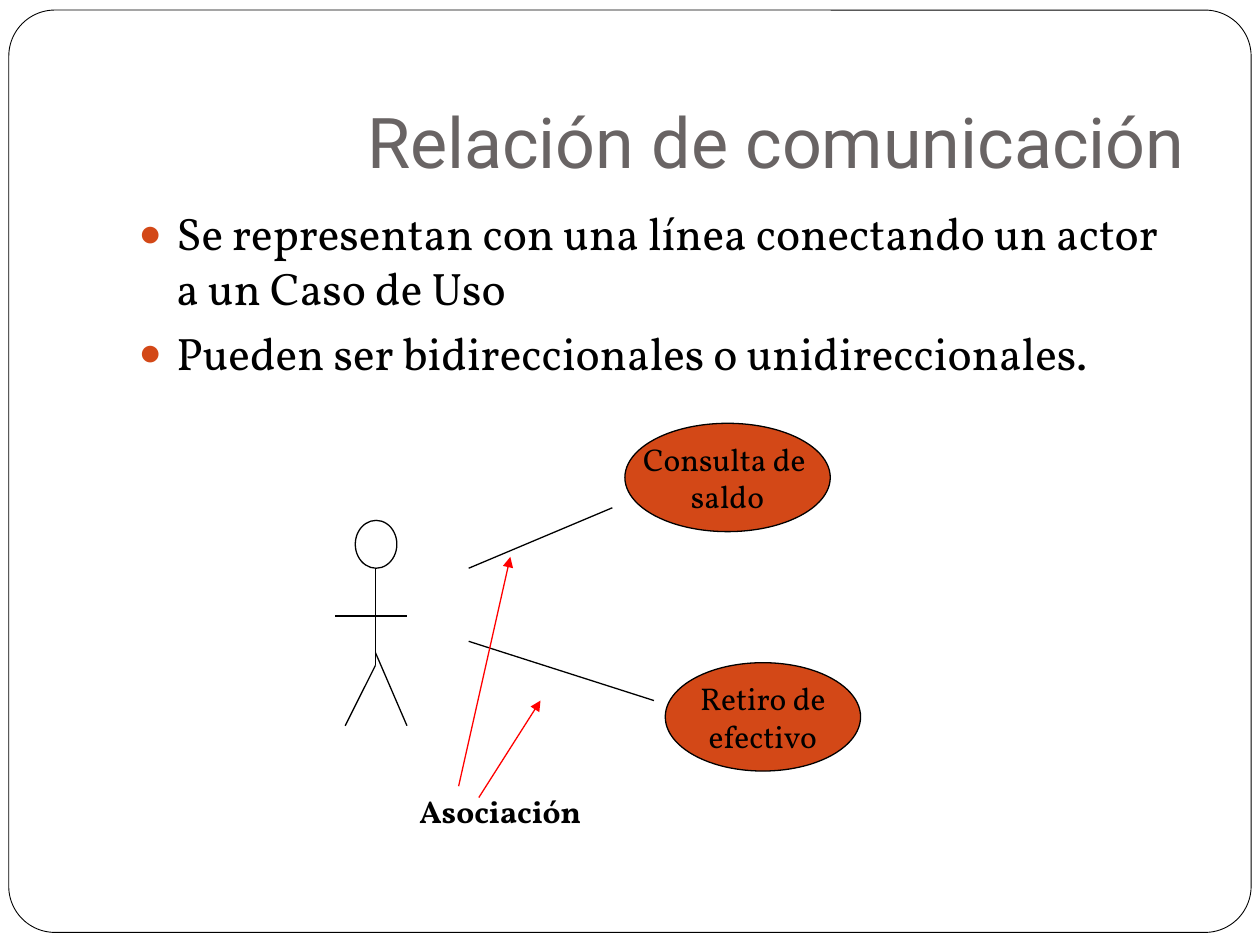
from lxml.etree import SubElement
from pptx import Presentation
from pptx.dml.color import RGBColor
from pptx.enum.shapes import MSO_CONNECTOR, MSO_SHAPE
from pptx.enum.text import MSO_ANCHOR, PP_ALIGN
from pptx.oxml.ns import qn
from pptx.util import Inches, Pt

BLACK = RGBColor(0x00, 0x00, 0x00)
WHITE = RGBColor(0xFF, 0xFF, 0xFF)
GRAY = RGBColor(0x69, 0x64, 0x64)
ORANGE = RGBColor(0xD3, 0x48, 0x17)
RED = RGBColor(0xFF, 0x00, 0x00)
TITLE_FONT = "Roboto"
BODY_FONT = "Vollkorn"

BULLETS = [
    "Se representan con una línea conectando un actor a un Caso de Uso ",
    "Pueden ser bidireccionales o unidireccionales.",
]
USE_CASES = [
    (4.96, 3.36, 1.63, "Consulta de \nsaldo"),
    (5.28, 5.26, 1.55, "Retiro de\nefectivo"),
]
ACTOR_LINES = [
    (2.98, 4.51, 2.98, 5.28),
    (2.66, 4.89, 3.23, 4.89),
    (2.98, 5.28, 2.74, 5.76),
    (2.98, 5.18, 3.23, 5.76),
]
ASSOCIATIONS = [(3.72, 4.51, 4.86, 4.03), (3.72, 5.09, 5.19, 5.56)]
POINTERS = [(3.8, 6.33, 4.29, 5.56), (3.64, 6.24, 4.05, 4.42)]


def place(shape, left, top, width, height):
    shape.left, shape.top = Inches(left), Inches(top)
    shape.width, shape.height = Inches(width), Inches(height)


def format_runs(paragraph, font_name, size, color, bold=False):
    for run in paragraph.runs:
        run.font.name = font_name
        run.font.size = Pt(size)
        run.font.bold = bold
        run.font.color.rgb = color


def add_outline(shapes, kind, left, top, width, height, fill=None, line_width=0.75):
    shape = shapes.add_shape(
        kind, Inches(left), Inches(top), Inches(width), Inches(height))
    shape.shadow.inherit = False
    if fill is None:
        shape.fill.background()
    else:
        shape.fill.solid()
        shape.fill.fore_color.rgb = fill
    shape.line.color.rgb = BLACK
    shape.line.width = Pt(line_width)
    return shape


def add_line(shapes, points, color=BLACK, arrow=False):
    connector = shapes.add_connector(
        MSO_CONNECTOR.STRAIGHT, *[Inches(value) for value in points])
    connector.line.color.rgb = color
    connector.line.width = Pt(0.75)
    properties = connector.element.spPr
    if arrow:
        SubElement(properties.find(qn("a:ln")), qn("a:tailEnd"), type="triangle")
    SubElement(properties, qn("a:effectLst"))


def add_use_case(shapes, left, top, width, text):
    shape = add_outline(shapes, MSO_SHAPE.OVAL, left, top, width, 0.86, ORANGE)
    text_frame = shape.text_frame
    text_frame.text = text
    text_frame.word_wrap = False
    text_frame.vertical_anchor = MSO_ANCHOR.MIDDLE
    for paragraph in text_frame.paragraphs:
        paragraph.alignment = PP_ALIGN.CENTER
        format_runs(paragraph, BODY_FONT, 18, BLACK)


def add_label(shapes, text):
    label = shapes.add_textbox(Inches(3.23), Inches(6.24), Inches(2.12), Inches(0.64))
    label.text_frame.text = text
    label.text_frame.word_wrap = True
    format_runs(label.text_frame.paragraphs[0], BODY_FONT, 18, BLACK, bold=True)


def add_frame(slide):
    frame = add_outline(
        slide.shapes, MSO_SHAPE.ROUNDED_RECTANGLE, 0.07, 0.08, 9.86, 7.32, WHITE, 0.5)
    frame.adjustments[0] = 0.05
    frame.element.getparent().insert(2, frame.element)


def fill_title(title):
    place(title, 1, 0.3, 8.5, 1.25)
    text_frame = title.text_frame
    text_frame.text = "Relación de comunicación"
    text_frame.vertical_anchor = MSO_ANCHOR.BOTTOM
    text_frame.margin_bottom = Inches(0.1)
    paragraph = text_frame.paragraphs[0]
    paragraph.alignment = PP_ALIGN.RIGHT
    format_runs(paragraph, TITLE_FONT, 40, GRAY)


def set_bullet(paragraph):
    properties = paragraph._p.get_or_add_pPr()
    properties.set("marL", str(Inches(0.3)))
    properties.set("indent", str(Inches(-0.3)))
    color = SubElement(properties, qn("a:buClr"))
    SubElement(color, qn("a:srgbClr"), val=str(ORANGE))
    SubElement(properties, qn("a:buSzPct"), val="85000")
    SubElement(properties, qn("a:buChar"), char="●")


def fill_body(body):
    place(body, 1, 1.58, 8.5, 5)
    body.text_frame.text = "\n".join(BULLETS)
    for paragraph in body.text_frame.paragraphs:
        paragraph.space_before = Pt(5.8)
        set_bullet(paragraph)
        format_runs(paragraph, BODY_FONT, 26, BLACK)


def add_diagram(slide):
    shapes = slide.shapes.add_group_shape().shapes
    add_outline(shapes, MSO_SHAPE.OVAL, 2.82, 4.13, 0.33, 0.38)
    for points in ACTOR_LINES + ASSOCIATIONS:
        add_line(shapes, points)
    for use_case in USE_CASES:
        add_use_case(shapes, *use_case)
    add_label(shapes, "Asociación")
    for points in POINTERS:
        add_line(shapes, points, RED, arrow=True)


def main():
    presentation = Presentation()
    presentation.slide_width = Inches(10)
    presentation.slide_height = Inches(7.5)
    slide = presentation.slides.add_slide(presentation.slide_layouts[1])
    add_frame(slide)
    fill_title(slide.shapes.title)
    fill_body(slide.placeholders[1])
    add_diagram(slide)
    presentation.save("out.pptx")


main()
